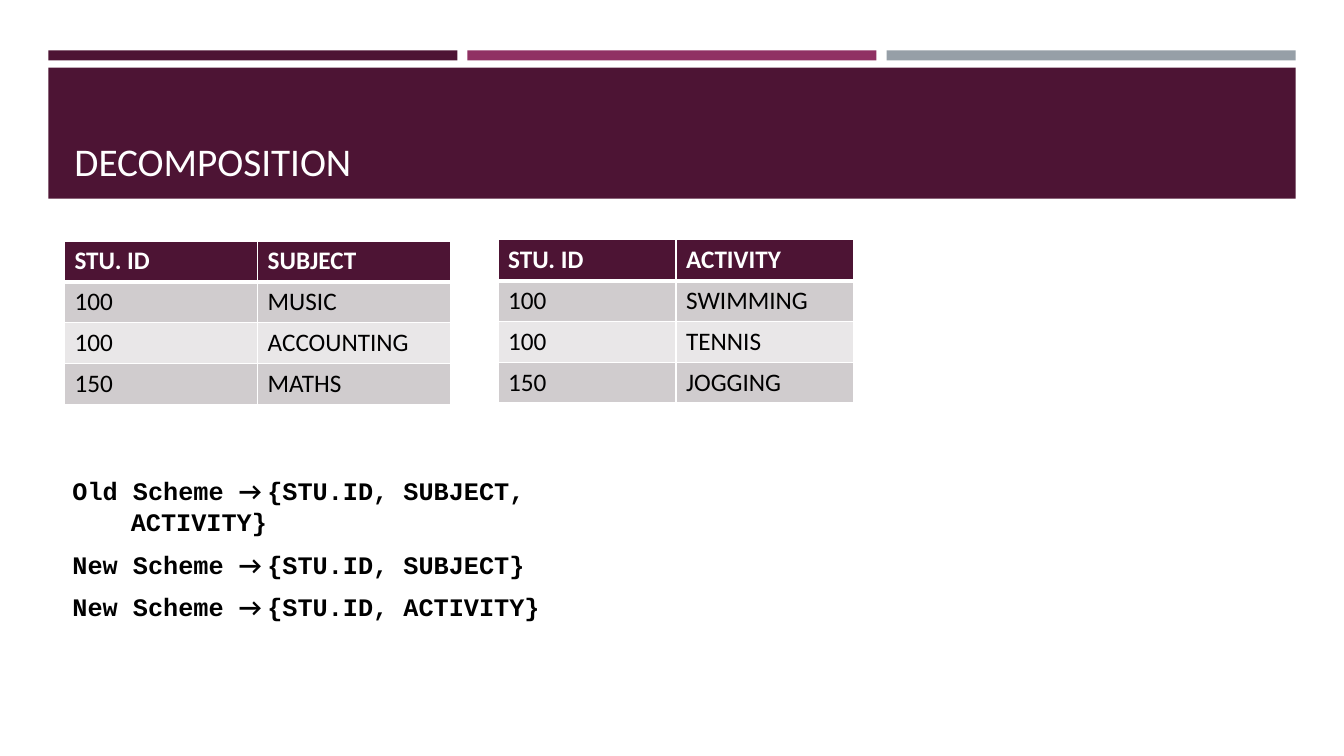
from dataclasses import dataclass

from lxml.etree import SubElement
from pptx import Presentation
from pptx.dml.color import RGBColor
from pptx.enum.shapes import MSO_SHAPE
from pptx.enum.text import MSO_ANCHOR
from pptx.oxml import parse_xml
from pptx.oxml.ns import nsdecls, qn
from pptx.util import Inches, Pt


@dataclass(frozen=True)
class Theme:
    plum: str = "4D1434"
    rose: str = "903163"
    slate: str = "969FA7"
    dark: str = "D0CCCE"
    light: str = "E9E7E8"
    white: str = "FFFFFF"
    black: str = "000000"
    sans: str = "Calibri"
    mono: str = "Courier New"
    title: int = 28
    body: int = 18


THEME = Theme()


def style(font, size, color, bold=False, name=THEME.sans):
    font.name, font.size, font.bold = name, Pt(size), bold
    font.color.rgb = RGBColor.from_string(color)


def add_rect(slide, left, top, width, height, color):
    rect = slide.shapes.add_shape(
        MSO_SHAPE.RECTANGLE, Inches(left), Inches(top), Inches(width), Inches(height))
    rect.shadow.inherit = False
    rect.fill.solid()
    rect.fill.fore_color.rgb = RGBColor.from_string(color)
    rect.line.fill.background()


def add_text(slide, left, top, width, height):
    box = slide.shapes.add_textbox(
        Inches(left), Inches(top), Inches(width), Inches(height))
    box.text_frame.word_wrap = True
    return box.text_frame


# Three strips, the title band and the title
def add_header(slide, left, top, width, text):
    gap = 0.1
    strip = (width - 2 * gap) / 3
    for i, color in enumerate((THEME.plum, THEME.rose, THEME.slate)):
        add_rect(slide, left + i * (strip + gap), top, strip, 0.1, color)
    add_rect(slide, left, top + 0.17, width, 1.3, THEME.plum)
    frame = add_text(slide, left + 0.16, top + 0.27, width - 0.32, 1.11)
    frame.vertical_anchor = MSO_ANCHOR.BOTTOM
    frame.text = text
    style(frame.paragraphs[0].runs[0].font, THEME.title, THEME.white)


def set_edges(cell, row):
    props = cell._tc.get_or_add_tcPr()
    thick = {"T": row == 1, "B": row == 0}
    for i, side in enumerate("LRTB"):
        size = Pt(3 if thick.get(side) else 1)
        props.insert(i, parse_xml(
            f'<a:ln{side} {nsdecls("a")} w="{size}"><a:solidFill>'
            f'<a:srgbClr val="{THEME.white}"/></a:solidFill></a:ln{side}>'))


# A table with a dark head row and banded body rows
def add_grid(slide, left, top, width, rows):
    height = 0.405
    table = slide.shapes.add_table(
        len(rows), len(rows[0]), Inches(left), Inches(top),
        Inches(width), Inches(height * len(rows))).table
    for r, row in enumerate(rows):
        table.rows[r].height = Inches(height)
        head = r == 0
        fill = THEME.plum if head else (THEME.light, THEME.dark)[r % 2]
        for c, text in enumerate(row):
            cell = table.cell(r, c)
            cell.text = text
            cell.fill.solid()
            cell.fill.fore_color.rgb = RGBColor.from_string(fill)
            set_edges(cell, r)
            style(cell.text_frame.paragraphs[0].runs[0].font, THEME.body,
                  THEME.white if head else THEME.black, head)


# Scheme lines with a hanging indent
def add_schemes(slide, left, top, width, height, schemes):
    frame = add_text(slide, left, top, width, height)
    for i, (label, fields) in enumerate(schemes):
        para = frame.paragraphs[0] if i == 0 else frame.add_paragraph()
        props = para._p.get_or_add_pPr()
        props.set("marL", str(Inches(1.2)))
        props.set("indent", str(Inches(-0.58)))
        SubElement(props, qn("a:buNone"))
        para.space_before = Pt(9 if i else 0)
        for text, name in ((label + " ", THEME.mono), ("→ ", THEME.sans),
                           (fields, THEME.mono)):
            run = para.add_run()
            run.text = text
            style(run.font, THEME.body, THEME.black, True, name)


def main():
    deck = Presentation()
    deck.slide_width, deck.slide_height = Inches(13.33), Inches(7.5)
    slide = deck.slides.add_slide(deck.slide_layouts[6])
    add_header(slide, 0.48, 0.5, 12.37, "DECOMPOSITION")
    add_grid(slide, 0.64, 2.39, 3.83, [
        ("STU. ID", "SUBJECT"), ("100", "MUSIC"),
        ("100", "ACCOUNTING"), ("150", "MATHS")])
    add_grid(slide, 4.94, 2.38, 3.53, [
        ("STU. ID", "ACTIVITY"), ("100", "SWIMMING"),
        ("100", "TENNIS"), ("150", "JOGGING")])
    add_schemes(slide, 0, 4.67, 6.67, 1.31, [
        ("Old Scheme", "{STU.ID, SUBJECT, ACTIVITY}"),
        ("New Scheme", "{STU.ID, SUBJECT}"),
        ("New Scheme", "{STU.ID, ACTIVITY}")])
    deck.save("out.pptx")


if __name__ == "__main__":
    main()
